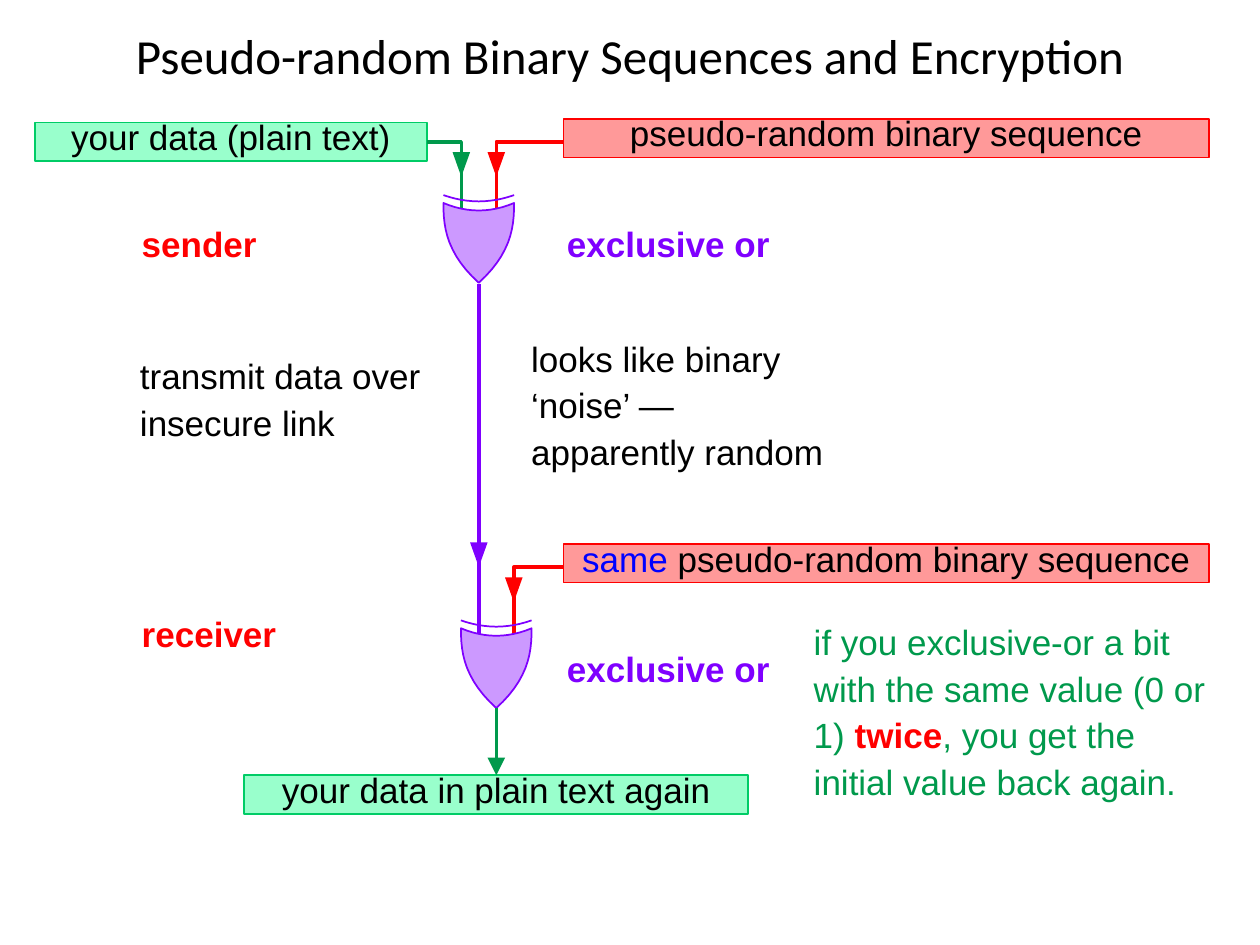
from lxml import etree
from pptx import Presentation
from pptx.dml.color import RGBColor
from pptx.enum.shapes import MSO_CONNECTOR, MSO_SHAPE
from pptx.enum.text import MSO_ANCHOR, PP_ALIGN
from pptx.oxml.ns import qn
from pptx.util import Pt

STRAIGHT = MSO_CONNECTOR.STRAIGHT
RECTANGLE, DOWN_TRIANGLE = MSO_SHAPE.RECTANGLE, MSO_SHAPE.FLOWCHART_MERGE
MIDDLE, CENTER = MSO_ANCHOR.MIDDLE, PP_ALIGN.CENTER

BLACK = RGBColor(0x00, 0x00, 0x00)
RED = RGBColor(0xFF, 0x00, 0x00)
PINK = RGBColor(0xFF, 0x99, 0x99)
GREEN = RGBColor(0x00, 0x99, 0x4C)
EDGE_GREEN = RGBColor(0x00, 0xCC, 0x66)
MINT = RGBColor(0x99, 0xFF, 0xCC)
VIOLET = RGBColor(0x7F, 0x00, 0xFF)
LILAC = RGBColor(0xCC, 0x99, 0xFF)
BLUE = RGBColor(0x00, 0x00, 0xFF)

BOX_HEIGHT = 22
GATE_HALF, GATE_HEIGHT, GATE_STEPS = 20.2, 45.6, 12
GATE_TOP = 48       # below the top of a stage
INPUT_OFFSET = 10   # from the gate's axis to each input wire
SEQUENCE_LEFT, SEQUENCE_WIDTH = 302, 369


def write_runs(frame, runs):
    """Fill the first paragraph with (text, colour, bold) runs."""
    frame.word_wrap = True
    frame.margin_left = frame.margin_right = 0
    frame.margin_top = frame.margin_bottom = 0
    paragraph = frame.paragraphs[0]
    for text, colour, bold in runs:
        run = paragraph.add_run()
        run.text = text
        run.font.name, run.font.size = "Arial", Pt(20)
        run.font.bold, run.font.color.rgb = bold, colour
    return paragraph


def add_label(slide, box, runs, line_spacing=None):
    label = slide.shapes.add_textbox(*map(Pt, box))
    paragraph = write_runs(label.text_frame, runs)
    if line_spacing:
        paragraph.line_spacing = line_spacing


def add_data_box(slide, box, fill, edge, runs):
    data_box = slide.shapes.add_shape(RECTANGLE, *map(Pt, box))
    data_box.shadow.inherit = False
    data_box.fill.solid()
    data_box.fill.fore_color.rgb = fill
    data_box.line.color.rgb = edge
    data_box.line.width = Pt(1)
    frame = data_box.text_frame
    write_runs(frame, runs).alignment = CENTER
    frame.vertical_anchor = MIDDLE
    frame.margin_bottom = Pt(6)
    return data_box


def add_outline(slide, points, colour, width, fill=None):
    """Draw a polyline, closed only when it has a fill."""
    corners = [(Pt(x), Pt(y)) for x, y in points]
    builder = slide.shapes.build_freeform(*corners[0], scale=1.0)
    builder.add_line_segments(corners[1:], close=fill is not None)
    outline = builder.convert_to_shape()
    outline.shadow.inherit = False
    if fill is None:
        outline.fill.background()
    else:
        outline.fill.solid()
        outline.fill.fore_color.rgb = fill
    outline.line.color.rgb = colour
    outline.line.width = Pt(width)


def add_flow_marker(slide, x, top, colour):
    """Mark the direction part-way down a wire."""
    marker = slide.shapes.add_shape(DOWN_TRIANGLE, Pt(x - 5), Pt(top), Pt(10), Pt(14))
    marker.shadow.inherit = False
    marker.fill.solid()
    marker.fill.fore_color.rgb = colour
    marker.line.fill.background()


def add_line(slide, start, end, colour, arrow=False):
    line = slide.shapes.add_connector(STRAIGHT, *map(Pt, start + end))
    line.line.color.rgb = colour
    line.line.width = Pt(2)
    properties = line._element.spPr
    if arrow:
        etree.SubElement(properties.find(qn("a:ln")), qn("a:tailEnd"),
                         type="triangle", w="lg", len="lg")
    etree.SubElement(properties, qn("a:effectLst"))
    return line


def add_input_wire(slide, start_x, x, top, colour):
    """Lead a wire from a data box sideways, then down into a gate."""
    wire_y = top + 13
    add_outline(slide, [(start_x, wire_y), (x, wire_y), (x, top + 53)], colour, 2)
    add_flow_marker(slide, x, top + 19, colour)


def add_xor_gate(slide, axis, top):
    steps = [i / GATE_STEPS for i in range(GATE_STEPS + 1)]

    def arc(y, depth):
        return [(axis + GATE_HALF * (2 * t - 1), y + depth * (1 - (2 * t - 1) ** 2))
                for t in steps]

    def side(direction):
        return [(axis + direction * GATE_HALF * (1 - t ** 2.5), top + GATE_HEIGHT * t)
                for t in steps]

    body = arc(top, 4.3) + side(1)[1:] + side(-1)[-2:0:-1]
    add_outline(slide, body, VIOLET, 1, LILAC)
    add_outline(slide, arc(top - 4.5, 3.6), VIOLET, 1)


def add_stage(slide, box, axis, name, name_top, sequence):
    """Place what both ends share: name, sequence box, its wire and the gate."""
    left, top = box[:2]
    sequence_left = left + SEQUENCE_LEFT
    add_data_box(slide, (sequence_left, top, SEQUENCE_WIDTH, BOX_HEIGHT), PINK, RED, sequence)
    add_input_wire(slide, sequence_left, axis + INPUT_OFFSET, top, RED)
    add_xor_gate(slide, axis, top + GATE_TOP)
    add_label(slide, (left + 61, top + name_top, 100, 25), [(name, RED, True)])
    add_label(slide, (left + 304, top + 59, 130, 25), [("exclusive or", VIOLET, True)])


def add_title(slide, box):
    title = slide.shapes.title
    title.left, title.top, title.width, title.height = map(Pt, box)
    title.text_frame.vertical_anchor = MIDDLE
    paragraph = title.text_frame.paragraphs[0]
    paragraph.alignment = CENTER
    run = paragraph.add_run()
    run.text = "Pseudo-random Binary Sequences and Encryption"
    run.font.name, run.font.size = "Calibri", Pt(28)
    run.font.color.rgb = BLACK


def add_sender(slide, box, axis):
    left, top = box[:2]
    add_data_box(slide, (left, top + 2, 224, BOX_HEIGHT), MINT, EDGE_GREEN,
                 [("your data (plain text)", BLACK, False)])
    add_input_wire(slide, left + 224, axis - INPUT_OFFSET, top, GREEN)
    add_stage(slide, box, axis, "sender", 59,
              [("pseudo-random binary sequence", BLACK, False)])


def add_link(slide, box, axis):
    left, top, width, height = box
    add_line(slide, (axis, top), (axis, top + height), VIOLET)
    add_flow_marker(slide, axis, top + 148, VIOLET)
    add_label(slide, (left, top + 38, 165, 55),
              [("transmit data over insecure link", BLACK, False)], 1.11)
    add_label(slide, (left + width - 171, top + 28, 171, 82),
              [("looks like binary ‘noise’ — apparently random", BLACK, False)], 1.11)


def add_receiver(slide, box, axis):
    left, top = box[:2]
    add_stage(slide, box, axis, "receiver", 39,
              [("same ", BLUE, False), ("pseudo-random binary sequence", BLACK, False)])
    output_top = top + 132
    output = add_data_box(slide, (axis - 144, output_top, 288, BOX_HEIGHT), MINT, EDGE_GREEN,
                          [("your data in plain text again", BLACK, False)])
    arrow = add_line(slide, (axis, top + GATE_TOP + GATE_HEIGHT), (axis, output_top),
                     GREEN, arrow=True)
    arrow.end_connect(output, 0)
    add_label(slide, (left + 445, top + 41, 229, 108),
              [("if you exclusive-or a bit with the same value (0 or 1) ", GREEN, False),
               ("twice", RED, True),
               (", you get the initial value back again.", GREEN, False)], 1.11)


def main():
    deck = Presentation()
    deck.slide_width, deck.slide_height = Pt(720), Pt(540)
    slide = deck.slides.add_slide(deck.slide_layouts[5])
    sender_axis = 273.6
    receiver_axis = sender_axis + INPUT_OFFSET
    add_title(slide, (36, -13.7, 648, 90))
    add_link(slide, (80, 162, 394.5, 203), sender_axis)
    add_sender(slide, (20, 68, 671, 94), sender_axis)
    add_receiver(slide, (20, 311, 671, 154), receiver_axis)
    deck.save("out.pptx")


if __name__ == "__main__":
    main()
